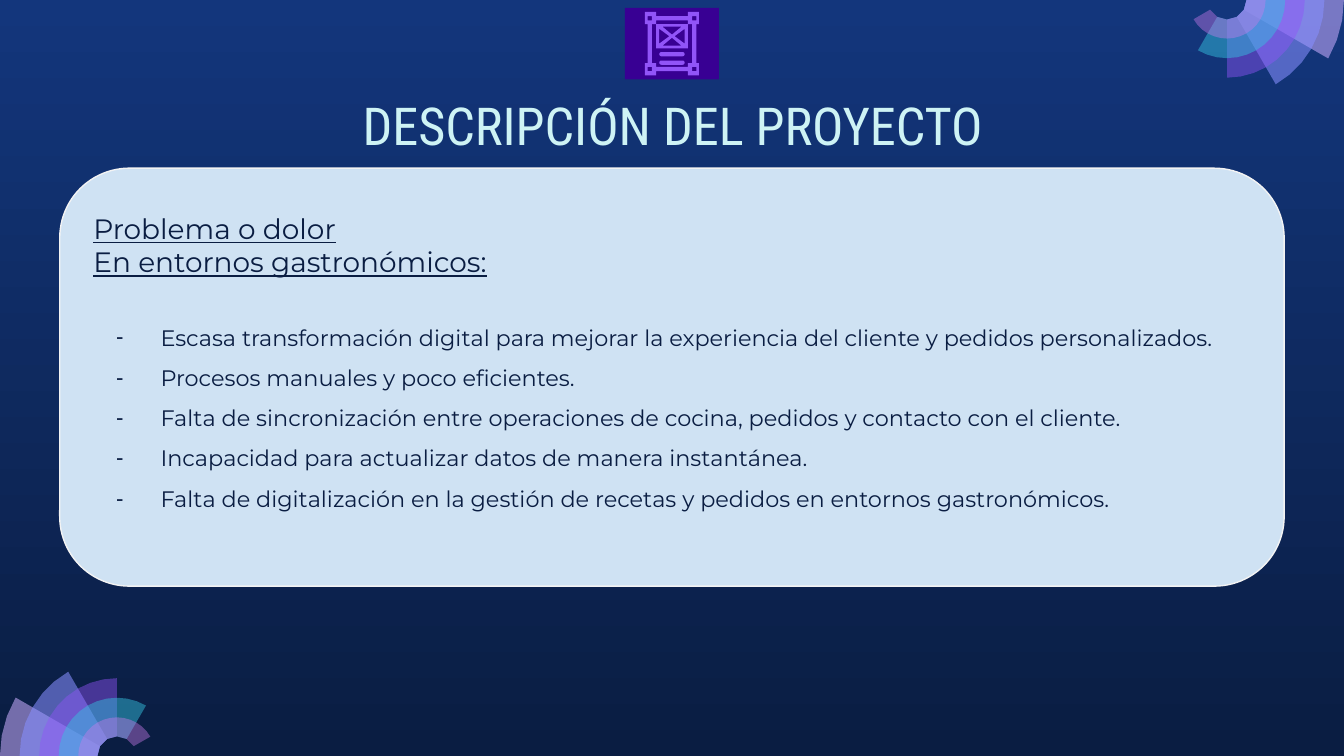
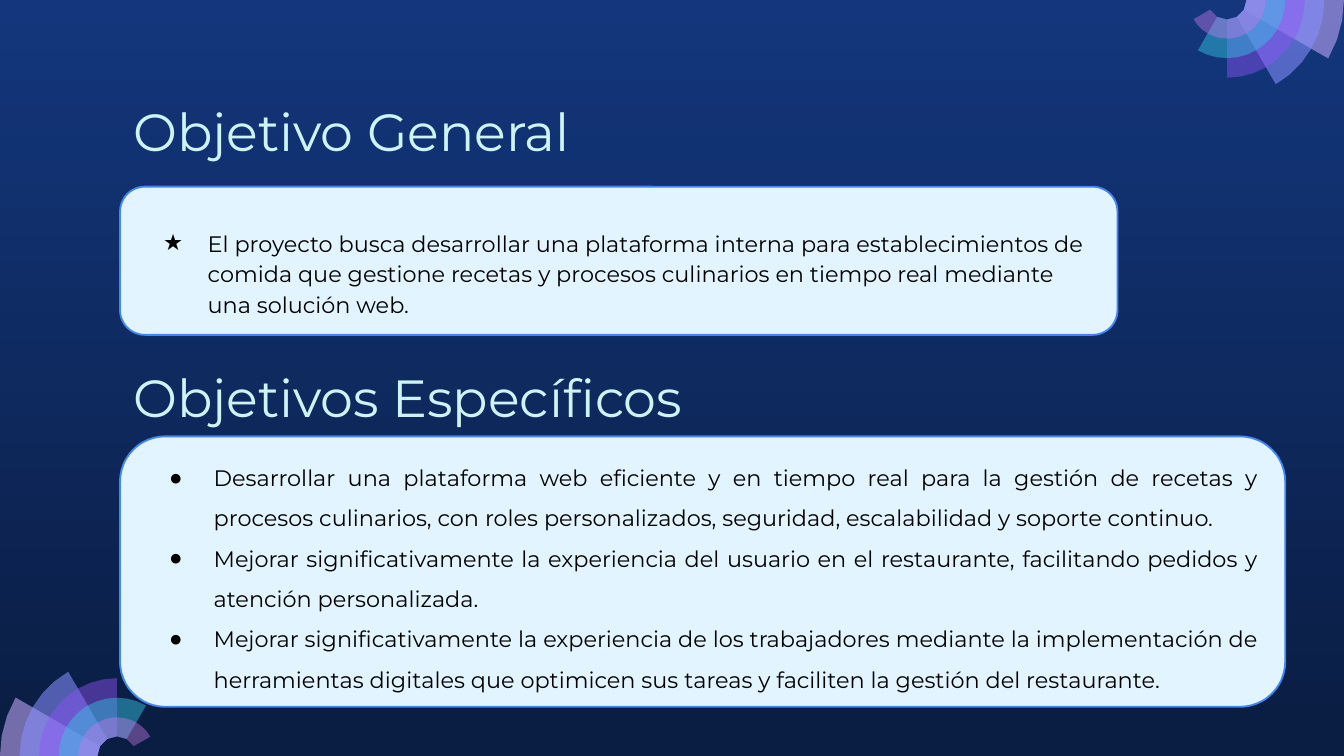
from dataclasses import dataclass
from itertools import product
from math import cos, radians, sin

from lxml.etree import SubElement
from pptx import Presentation
from pptx.dml.color import RGBColor
from pptx.enum.shapes import MSO_SHAPE as Preset
from pptx.enum.text import MSO_ANCHOR as Anchor, MSO_AUTO_SIZE as AutoSize, PP_ALIGN as Align
from pptx.oxml.ns import qn
from pptx.util import Cm, Pt


@dataclass(frozen=True)
class Theme:
    """Colours, fonts and type sizes of the presentation."""
    sky: str = "13367C"
    night: str = "0A1D42"
    title: str = "CEF3F5"
    black: str = "000000"
    tile: str = "380093"
    violet: str = "9154F8"
    problem_fill: str = "CFE2F3"
    problem_line: str = "F3F3F3"
    goal_fill: str = "E1F4FF"
    goal_line: str = "4285F4"
    fan: tuple = (("C8ACFD", 56), ("878FFF", 57), ("9154F8", 45), ("35C2DF", 48), ("CA7BEB", 42))
    display_font: str = "Roboto Condensed"
    text_font: str = "Montserrat"
    title_size: int = 28
    heading_size: int = 15
    body_size: int = 12


THEME = Theme()
WIDTH, HEIGHT = 25.4, 14.29
RING = 0.37
FAN_RADIUS = 2.21
INSET = 0.25
SMALL_INSET = 0.13

PROBLEM_HEADINGS = ("Problema o dolor", "En entornos gastronómicos:")
PROBLEMS = (
    "Escasa transformación digital para mejorar la experiencia del cliente y pedidos personalizados.",
    "Procesos manuales y poco eficientes.",
    "Falta de sincronización entre operaciones de cocina, pedidos y contacto con el cliente.",
    "Incapacidad para actualizar datos de manera instantánea.",
    "Falta de digitalización en la gestión de recetas y pedidos en entornos gastronómicos.",
)
GENERAL_GOAL = (
    "El proyecto busca desarrollar una plataforma interna para establecimientos de comida que "
    "gestione recetas y procesos culinarios en tiempo real mediante una solución web.",
)
SPECIFIC_GOALS = (
    "Desarrollar una plataforma web eficiente y en tiempo real para la gestión de recetas y procesos "
    "culinarios, con roles personalizados, seguridad, escalabilidad y soporte continuo.",
    "Mejorar significativamente la experiencia del usuario en el restaurante, facilitando pedidos y "
    "atención personalizada.",
    "Mejorar significativamente la experiencia de los trabajadores mediante la implementación de "
    "herramientas digitales que optimicen sus tareas y faciliten la gestión del restaurante.",
)


def rgb(value):
    """Turn a hex string into a colour."""
    return RGBColor.from_string(value)


def paint(shape, fill, line=None, width=1):
    """Set the fill of a shape, and its line if a colour is given."""
    shape.shadow.inherit = False
    shape.fill.solid()
    shape.fill.fore_color.rgb = rgb(fill)
    if line:
        shape.line.color.rgb = rgb(line)
        shape.line.width = Pt(width)
    else:
        shape.line.fill.background()


def prepare_frame(shape, box, top=INSET, bottom=INSET, anchor=Anchor.TOP):
    """Place a placeholder and return its text frame with plain settings."""
    shape.left, shape.top, shape.width, shape.height = map(Cm, box)
    frame = shape.text_frame
    frame.word_wrap = True
    frame.auto_size = AutoSize.NONE
    frame.vertical_anchor = anchor
    frame.margin_left = frame.margin_right = Cm(INSET)
    frame.margin_top, frame.margin_bottom = Cm(top), Cm(bottom)
    return frame


def prepare_panel(placeholder, box, fill, line, width, **settings):
    """Turn a body placeholder into a rounded panel and return its text frame."""
    frame = prepare_frame(placeholder, box, **settings)
    geometry = SubElement(placeholder.element.spPr, qn("a:prstGeom"))
    geometry.set("prst", "roundRect")
    SubElement(geometry, qn("a:avLst"))
    paint(placeholder, fill, line, width)
    return frame


def add_paragraph(frame, text, size, color, font=THEME.text_font, align=Align.LEFT,
                  spacing=1.0, before=0, underline=False, bullet=None):
    """Add one formatted paragraph, using the empty first one when there is one."""
    first = frame.paragraphs[0]
    paragraph = frame.add_paragraph() if first.runs else first
    paragraph.alignment = align
    paragraph.line_spacing = spacing
    paragraph.space_before = Pt(before)
    paragraph.space_after = Pt(0)
    properties = paragraph._p.get_or_add_pPr()
    properties.set("marL", str(Cm(1.27) if bullet else 0))
    properties.set("indent", str(Cm(-0.84) if bullet else 0))
    if bullet:
        bullet_color = SubElement(properties, qn("a:buClr"))
        SubElement(bullet_color, qn("a:srgbClr")).set("val", color)
        SubElement(properties, qn("a:buChar")).set("char", bullet)
    else:
        SubElement(properties, qn("a:buNone"))
    run = paragraph.add_run()
    run.text = text
    run.font.name = font
    run.font.size = Pt(size)
    run.font.bold = False
    run.font.underline = underline
    run.font.color.rgb = rgb(color)


def fill_title(placeholder, box, text, font=THEME.text_font, align=Align.LEFT):
    """Write a title in its placeholder."""
    frame = prepare_frame(placeholder, box)
    add_paragraph(frame, text, THEME.title_size, THEME.title, font, align)


def fill_goals(placeholder, box, goals, bullet, align, spacing, **settings):
    """Fill a panel with a list of goals."""
    frame = prepare_panel(placeholder, box, THEME.goal_fill, THEME.goal_line, 1,
                          bottom=SMALL_INSET, **settings)
    for goal in goals:
        add_paragraph(frame, goal, THEME.body_size, THEME.black, align=align,
                      spacing=spacing, bullet=bullet)


def add_outline(shapes, origin, contours, color):
    """Draw closed contours, given relative to an origin, as one filled shape."""
    contours = [[(Cm(origin[0] + x), Cm(origin[1] + y)) for x, y in contour]
                for contour in contours]
    builder = shapes.build_freeform(*contours[0][0])
    builder.add_line_segments(contours[0][1:], close=True)
    for contour in contours[1:]:
        builder.move_to(*contour[0])
        builder.add_line_segments(contour[1:], close=True)
    outline = builder.convert_to_shape()
    paint(outline, color)
    return outline


def arc_points(radius, start, sweep, step):
    """List the points of an arc, with angles in degrees clockwise from the right."""
    angles = map(radians, range(start, start + sweep + 1, step))
    return [(radius * cos(angle), radius * sin(angle)) for angle in angles]


def add_fan(slide, center, start):
    """Draw overlapping ring sectors, each narrower and sweeping further than the last."""
    group = slide.shapes.add_group_shape()
    for index, (color, opacity) in enumerate(THEME.fan):
        sweep = 30 * (index + 1)
        outer = arc_points(FAN_RADIUS - RING * index, start, sweep, 10)
        inner = arc_points(RING, start, sweep, 30)
        sector = add_outline(group.shapes, center, [outer + inner[::-1]], color)
        color_node = sector.element.spPr.find(".//" + qn("a:srgbClr"))
        SubElement(color_node, qn("a:alpha")).set("val", str(opacity * 1000))
    return group


def decorate_master(presentation, slide):
    """Give the master its gradient background and the two corner fans."""
    master = presentation.slide_master
    fill = master.background.fill
    fill.gradient()
    fill.gradient_angle = 270
    for stop, color in zip(fill.gradient_stops, (THEME.sky, THEME.night)):
        stop.color.rgb = rgb(color)
    fans = (add_fan(slide, (FAN_RADIUS, HEIGHT), 180), add_fan(slide, (WIDTH - FAN_RADIUS, 0), 0))
    for fan in fans:
        for node in fan.element.iter(qn("p:cNvPr")):
            node.set("id", str(int(node.get("id")) + 100))
        master.shapes.element.insert(2, fan.element)


def mirror(corner):
    """Repeat the points of the top right corner around all four corners."""
    signs = ((1, 1), (1, -1), (-1, -1), (-1, 1))
    return [(x * sign_x, y * sign_y) for sign_x, sign_y in signs
            for x, y in (corner if sign_x == sign_y else corner[::-1])]


def add_layout_icon(slide, box):
    """Draw a page layout icon on a tile."""
    left, top, width, height = box
    middle_x, middle_y = left + width / 2, top + height / 2
    tile = slide.shapes.add_shape(Preset.RECTANGLE, *map(Cm, box))
    paint(tile, THEME.tile)
    shapes = slide.shapes.add_group_shape().shapes

    border = mirror([(0.3, -0.52), (0.3, -0.6), (0.51, -0.6), (0.51, -0.37), (0.46, -0.37)])
    opening = mirror([(0.3, -0.44), (0.3, -0.37), (0.38, -0.37), (0.38, -0.37)][:3])
    handles = [[(x * 0.38, y * 0.44), (x * 0.46, y * 0.44), (x * 0.46, y * 0.52), (x * 0.38, y * 0.52)]
               for x, y in product((-1, 1), repeat=2)]
    add_outline(shapes, (middle_x, middle_y), [border, opening] + handles, THEME.violet)

    for bar_y in (0.2, 0.36):
        bar = shapes.add_shape(Preset.ROUNDED_RECTANGLE, Cm(middle_x - 0.24),
                               Cm(middle_y + bar_y - 0.04), Cm(0.48), Cm(0.08))
        bar.adjustments[0] = 0.5
        paint(bar, THEME.violet)

    picture = [mirror([(0.3, -0.23)])]
    for sign in (-1, 1):
        picture.append([(-0.18, sign * 0.18), (0, sign * 0.03), (0.18, sign * 0.18)])
        picture.append([(sign * 0.24, -0.14), (sign * 0.05, 0), (sign * 0.24, 0.14)])
    add_outline(shapes, (middle_x, middle_y - 0.14), picture, THEME.violet)


def build_problem_slide(slide):
    """Build the project description slide."""
    title, body = slide.placeholders
    fill_title(title, (2.01, 1.51, 21.4, 1.6), "DESCRIPCIÓN DEL PROYECTO",
               THEME.display_font, Align.CENTER)
    add_layout_icon(slide, (11.81, 0.15, 1.78, 1.35))
    frame = prepare_panel(body, (1.13, 3.18, 23.14, 7.9), THEME.problem_fill,
                          THEME.problem_line, 0.75, top=0.43)
    for heading in PROBLEM_HEADINGS:
        add_paragraph(frame, heading, THEME.heading_size, THEME.night, underline=True)
    for index, problem in enumerate(PROBLEMS):
        add_paragraph(frame, problem, THEME.body_size, THEME.night, spacing=1.5,
                      before=0 if index else 17, bullet="-")


def build_goals_slide(slide):
    """Build the slide with the general and specific goals."""
    title, general, subtitle, specific, spare = slide.placeholders
    spare.element.getparent().remove(spare.element)
    left = 2.27
    fill_title(title, (left, 1.63, 21.4, 1.6), "Objetivo General")
    fill_title(subtitle, (left, 6.65, 21.4, 1.6), "Objetivos Específicos")
    fill_goals(general, (left, 3.53, 18.85, 2.8), GENERAL_GOAL, "★", Align.LEFT, 1.15, top=0.6)
    fill_goals(specific, (left, 8.25, 22.02, 5.11), SPECIFIC_GOALS, "●", Align.JUSTIFY, 1.5,
               top=SMALL_INSET, anchor=Anchor.MIDDLE)


def main():
    """Build and save the presentation."""
    presentation = Presentation()
    presentation.slide_width, presentation.slide_height = Cm(WIDTH), Cm(HEIGHT)
    layouts = presentation.slide_layouts
    problem_slide = presentation.slides.add_slide(layouts.get_by_name("Section Header"))
    decorate_master(presentation, problem_slide)
    build_problem_slide(problem_slide)
    build_goals_slide(presentation.slides.add_slide(layouts.get_by_name("Comparison")))
    presentation.save("out.pptx")


if __name__ == "__main__":
    main()
